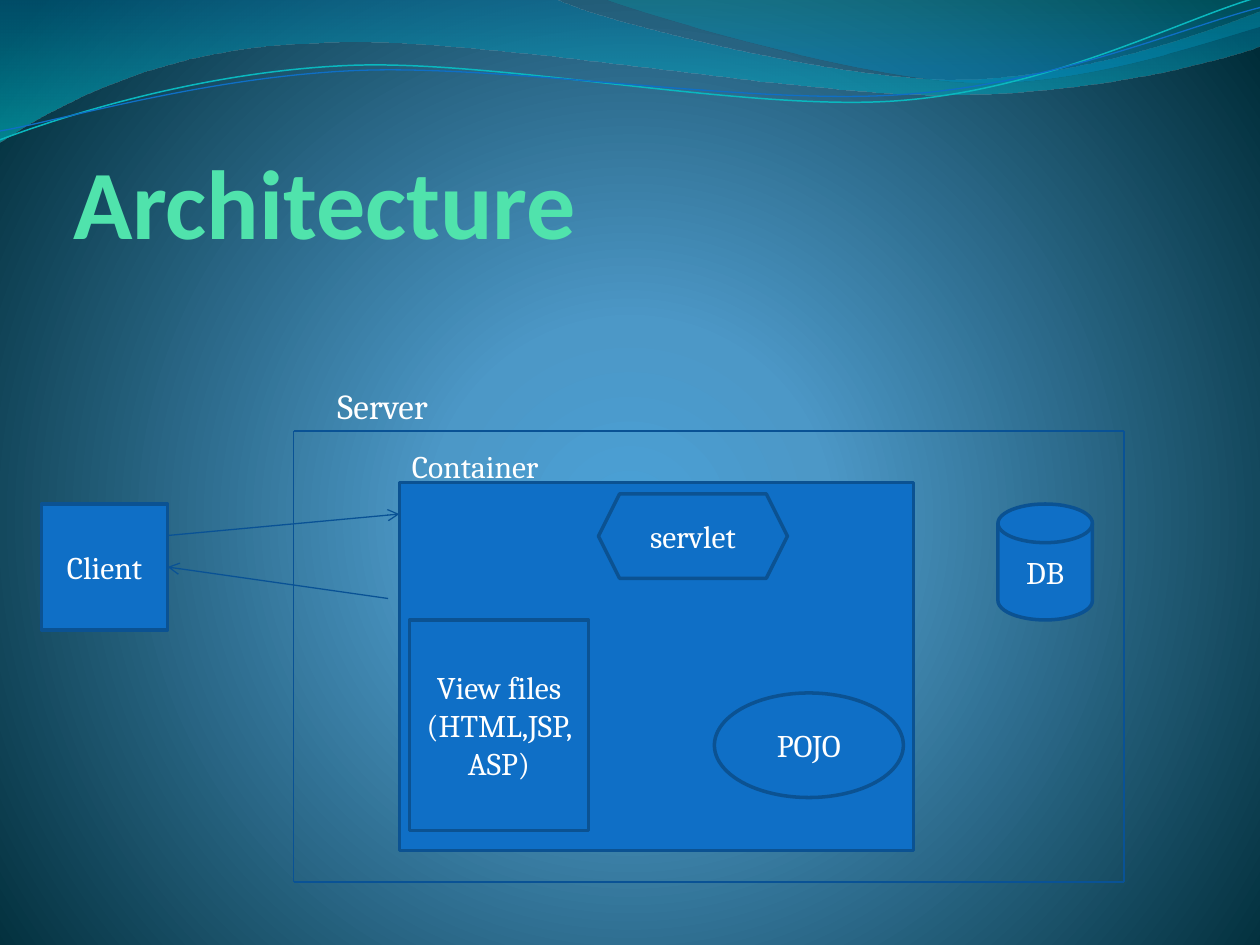
from lxml import etree
from pptx import Presentation
from pptx.dml.color import RGBColor
from pptx.enum.shapes import MSO_CONNECTOR, MSO_SHAPE
from pptx.enum.text import MSO_ANCHOR, MSO_AUTO_SIZE, PP_ALIGN
from pptx.oxml import parse_xml
from pptx.oxml.ns import nsdecls, qn
from pptx.util import Inches, Pt

RECT, HEX = MSO_SHAPE.RECTANGLE, MSO_SHAPE.HEXAGON
OVAL, DISK = MSO_SHAPE.OVAL, MSO_SHAPE.FLOWCHART_MAGNETIC_DISK
LINE = MSO_CONNECTOR.STRAIGHT
CENTER, LEFT = PP_ALIGN.CENTER, PP_ALIGN.LEFT
MIDDLE, BOTTOM = MSO_ANCHOR.MIDDLE, MSO_ANCHOR.BOTTOM
NO_FIT = MSO_AUTO_SIZE.NONE

BLUE = RGBColor(0x0F, 0x6F, 0xC6)
EDGE = RGBColor(0x0B, 0x52, 0x92)
WIRE = RGBColor(0x09, 0x52, 0x95)
AQUA = RGBColor(0x0A, 0xB8, 0xBF)
MINT = RGBColor(0x50, 0xE3, 0xAC)
WHITE = RGBColor(0xFF, 0xFF, 0xFF)

# Gradient stops: position, colour, opacity (percent)
BACK = [(0, "4AA0D6", 100), (25, "4C98C7", 100), (100, "002C38", 100)]
GLOW = ('<a:path path="circle"><a:fillToRect l="10000" t="110000" '
        'r="10000" b="100000"/></a:path>')
DOWN = '<a:lin ang="5400000" scaled="0"/>'

# Paths: two numbers make a straight step, six a cubic curve
WAVES = [
    ([(0, 0), (4.4, -0.01), (4.76, 0.17, 6.64, 0.63, 7.58, 0.63),
      (8.53, 0.63, 9.58, 0.26, 10, 0.09), (10.01, 0.36),
      (9.83, 0.44, 8.7, 0.76, 7.46, 0.75),
      (6.22, 0.75, 3.82, 0.28, 2.57, 0.34),
      (1.29, 0.36, 0.46, 0.83, -0.01, 1.13), (0, 0)],
     [(0, "0074A1", 45), (100, "00C6CF", 55)]),
    ([(4.79, -0.01), (5.09, 0.11, 6.82, 0.62, 7.69, 0.65),
      (8.56, 0.69, 9.61, 0.32, 10, 0.21), (10, 0), (4.79, -0.01)],
     [(0, "00A1A9", 30), (80, "008BBF", 45)]),
]
CURVES = [
    ([(0, 1.11), (0.48, 0.93, 1.58, 0.57, 2.77, 0.52),
      (3.95, 0.47, 5.93, 0.89, 7.13, 0.8),
      (8.33, 0.71, 9.38, 0.15, 9.98, -0.02)], AQUA, 0.85),
    ([(0, 1.04), (0.47, 0.96, 1.64, 0.61, 2.83, 0.56),
      (4.03, 0.51, 5.97, 0.84, 7.17, 0.75),
      (8.36, 0.67, 9.41, 0.21, 10, 0.06)], BLUE, 0.75),
]
NODES = [
    (RECT, "Client", 0.33, 4, 1, 1),
    (RECT, "", 3.17, 3.83, 4.08, 2.92),
    (HEX, "servlet", 4.75, 3.92, 1.5, 0.67),
    (OVAL, "POJO", 5.67, 5.5, 1.5, 0.83),
    (RECT, "View files (HTML,JSP, ASP)", 3.25, 4.92, 1.42, 1.67),
    (DISK, "DB", 7.92, 4, 0.75, 0.92),
]
LABELS = [("Container", 18, 3.17, 3.5, 2.92, 0.4),
          ("Server", 20, 2.58, 3, 2.75, 0.44)]
SERVER = [(2.33, 3.42), (8.92, 3.42), (8.92, 7), (2.33, 7)]
REQUEST = (1.33, 4.25), (3.17, 4.08)
REPLY = (3.08, 4.75), (1.33, 4.5)


def gradient(stops, shade):
    marks = "".join(
        f'<a:gs pos="{pos * 1000}"><a:srgbClr val="{color}">'
        f'<a:alpha val="{alpha * 1000}"/></a:srgbClr></a:gs>'
        for pos, color, alpha in stops)
    return parse_xml(f'<a:gradFill {nsdecls("a")} rotWithShape="1">'
                     f'<a:gsLst>{marks}</a:gsLst>{shade}</a:gradFill>')


def swap_fill(fill, holder, stops, shade):
    """Put a gradient with its own shading in place of a solid fill."""
    fill.solid()
    old = holder.find(qn("a:solidFill"))
    holder.replace(old, gradient(stops, shade))


def draw(slide, path, close):
    """Build a freeform, then bend its six-number steps into curves."""
    first, *rest = [tuple(map(Inches, step)) for step in path]
    pen = slide.shapes.build_freeform(*first)
    pen.add_line_segments([step[-2:] for step in rest], close=close)
    shape = pen.convert_to_shape()
    shape.shadow.inherit = False
    sides = list(shape._element.spPr.iter(qn("a:lnTo")))
    for side, step in zip(sides, rest):
        if len(step) == 6:
            side.tag = qn("a:cubicBezTo")
            side.clear()
            for x, y in zip(step[::2], step[1::2]):
                etree.SubElement(side, qn("a:pt"), x=str(x - shape.left),
                                 y=str(y - shape.top))
    return shape


def style(par, size, color=WHITE, face="Cambria", align=LEFT):
    par.alignment = align
    par.font.name = face
    par.font.size = Pt(size)
    par.font.color.rgb = color


def add_node(slide, kind, text, *box):
    node = slide.shapes.add_shape(kind, *map(Inches, box))
    node.shadow.inherit = False
    node.fill.solid()
    node.fill.fore_color.rgb = BLUE
    node.line.color.rgb = EDGE
    node.line.width = Pt(2)
    if text:
        frame = node.text_frame
        frame.vertical_anchor = MIDDLE
        frame.text = text
        style(frame.paragraphs[0], 18, align=CENTER)
    return node


def add_wire(slide, start, end, arrow=False):
    wire = slide.shapes.add_connector(LINE, *map(Inches, start + end))
    wire.line.color.rgb = WIRE
    wire.line.width = Pt(0.75)
    if arrow:
        etree.SubElement(wire.line._get_or_add_ln(), qn("a:tailEnd"),
                         type="arrow")
    etree.SubElement(wire._element.spPr, qn("a:effectLst"))
    return wire


def main():
    deck = Presentation()
    deck.slide_width, deck.slide_height = Inches(10), Inches(7.5)
    slide = deck.slides.add_slide(deck.slide_layouts[5])
    fill = slide.background.fill
    swap_fill(fill, slide._element.cSld.bg.bgPr, BACK, GLOW)

    for path, stops in WAVES:
        wave = draw(slide, path, True)
        swap_fill(wave.fill, wave._element.spPr, stops, DOWN)
        wave.line.fill.background()
    for path, color, width in CURVES:
        curve = draw(slide, path, False)
        curve.fill.background()
        curve.line.color.rgb = color
        curve.line.width = Pt(width)

    title = slide.shapes.title
    title.left, title.top = Inches(0.58), Inches(1)
    title.width, title.height = Inches(8.5), Inches(1.06)
    frame = title.text_frame
    frame.text = "Architecture"
    frame.auto_size = NO_FIT
    frame.vertical_anchor = BOTTOM
    frame.margin_left = frame.margin_right = 0
    frame.margin_top = frame.margin_bottom = 0
    style(frame.paragraphs[0], 56, MINT, "Calibri")
    frame.paragraphs[0].font.bold = True

    nodes = [add_node(slide, *node) for node in NODES]
    for start, end in zip(SERVER, SERVER[1:] + SERVER[:1]):
        add_wire(slide, start, end)
    add_wire(slide, *REQUEST, arrow=True)
    add_wire(slide, *REPLY, arrow=True).end_connect(nodes[0], 3)

    for text, size, *box in LABELS:
        frame = slide.shapes.add_textbox(*map(Inches, box)).text_frame
        frame.word_wrap = True
        frame.text = text
        style(frame.paragraphs[0], size)

    deck.save("out.pptx")


if __name__ == "__main__":
    main()
